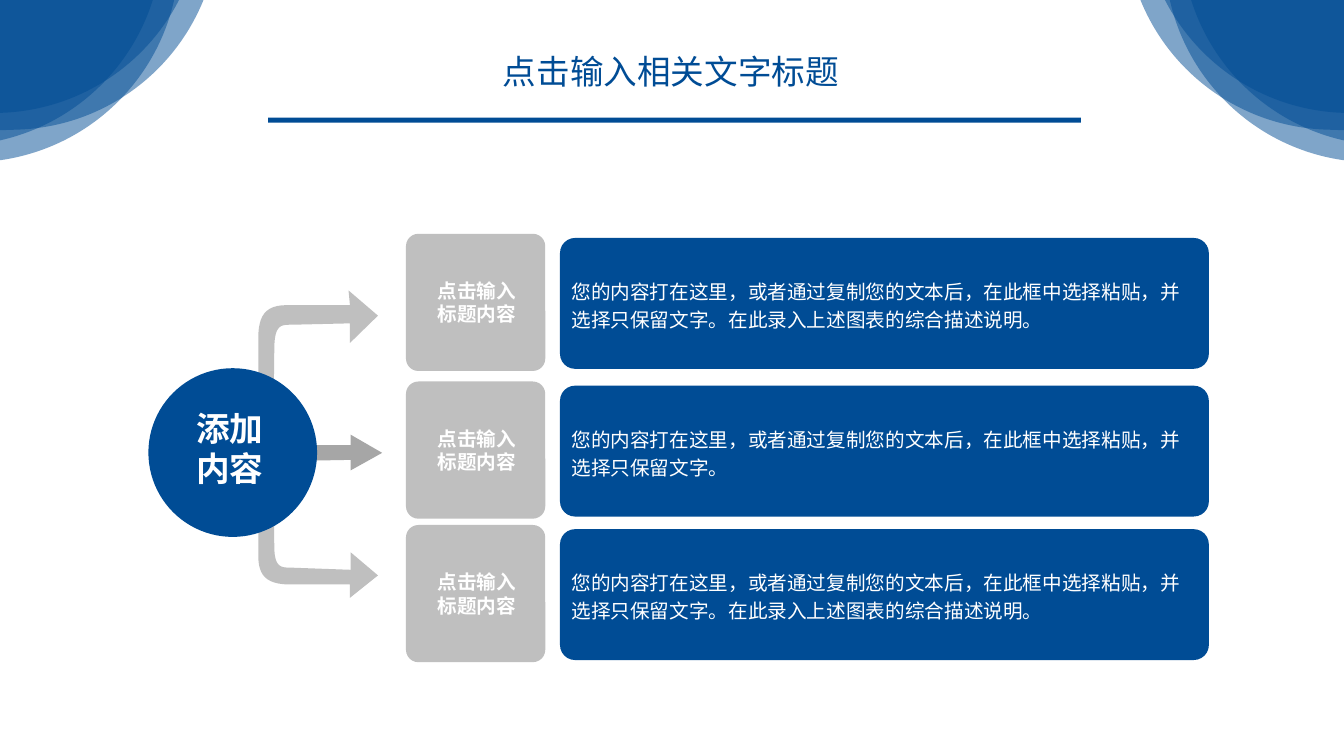
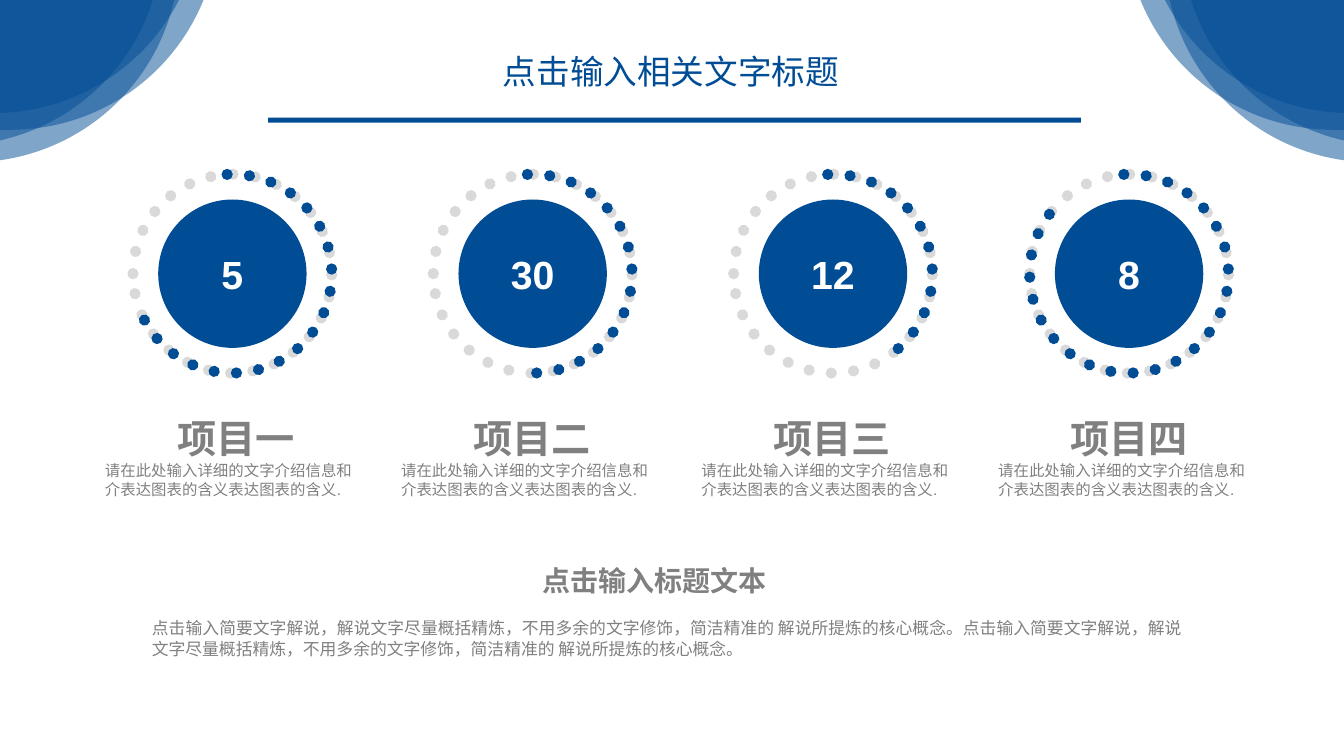
from lxml.etree import SubElement
from pptx import Presentation
from pptx.dml.color import RGBColor
from pptx.enum.dml import MSO_LINE
from pptx.enum.lang import MSO_LANGUAGE_ID
from pptx.enum.shapes import MSO_SHAPE, MSO_SHAPE_TYPE
from pptx.enum.text import MSO_ANCHOR, MSO_AUTO_SIZE, PP_ALIGN
from pptx.oxml.ns import qn
from pptx.util import Pt

BLUE, SILVER, STEEL = "004C95", "BFBFBF", "A6A6A6"
PALE, GRAY, WHITE = "D9D9D9", "808080", "FFFFFF"
LEFT, CENTER, JUSTIFY = PP_ALIGN.LEFT, PP_ALIGN.CENTER, PP_ALIGN.JUSTIFY
TOP, MIDDLE = MSO_ANCHOR.TOP, MSO_ANCHOR.MIDDLE
WIDTH, HEIGHT = 960, 540


def paint(fill, color):
    fill.solid()
    fill.fore_color.rgb = RGBColor.from_string(color)


def write(tf, lines, color, inset=(0, 0, 0, 0), anchor=TOP, spacing=1.0):
    tf.word_wrap = True
    tf.auto_size = MSO_AUTO_SIZE.NONE
    tf.vertical_anchor = anchor
    for side, margin in zip(("left", "top", "right", "bottom"), inset):
        setattr(tf, f"margin_{side}", Pt(margin))
    for i, (text, size, bold, align) in enumerate(lines):
        p = tf.paragraphs[0] if i == 0 else tf.add_paragraph()
        p.alignment = align
        p.line_spacing = spacing
        r = p.add_run()
        r.text = text
        formats = {"name": "Arial", "size": Pt(size), "bold": bold,
                   "language_id": MSO_LANGUAGE_ID.SIMPLIFIED_CHINESE}
        for key, value in formats.items():
            setattr(r.font, key, value)
        paint(r.font.fill, color)


prs = Presentation()
prs.slide_width, prs.slide_height = Pt(WIDTH), Pt(HEIGHT)

corner = 495
for _ in range(2):
    s = prs.slides.add_slide(prs.slide_layouts[5])
    for mirrored in (False, True):
        for x, y in ((807, -399), (819, -411)):
            for angle in (-13.1, 1.9):
                left = WIDTH - x - corner if mirrored else x
                sp = s.shapes.add_shape(MSO_SHAPE.ROUNDED_RECTANGLE, Pt(left), Pt(y), Pt(corner), Pt(corner))
                sp.adjustments[0] = 0.3
                sp.rotation = -angle if mirrored else angle
                paint(sp.fill, BLUE)
                rgb = sp._element.spPr.find(".//" + qn("a:srgbClr"))
                SubElement(rgb, qn("a:alpha")).set("val", "50000")
    sp = s.shapes.add_shape(MSO_SHAPE.RECTANGLE, Pt(191.5), Pt(84), Pt(580.5), Pt(3.6))
    paint(sp.fill, BLUE)
    title = s.shapes.title
    box = {"left": 352, "top": 32.4, "width": 258, "height": 36}
    for key, value in box.items():
        setattr(title, key, Pt(value))
    write(title.text_frame, [("点击输入相关文字标题", 24, False, LEFT)], BLUE, (7.2, 3.6, 7.2, 3.6))
    title.text_frame.word_wrap = False

flow, stats = prs.slides

arrows = [
    (SILVER, [(195, 322), (196, 392.5), (196.5, 405.5, 201, 405.5, 209, 405.5), (250.5, 407),
              (250.5, 394.5), (270, 411), (250, 427), (250, 417.5), (206, 417.5),
              (190, 417, 184.5, 411, 184.5, 396.5), (184.5, 320.5),
              (186.5, 307.5, 193, 309, 195, 322)]),
    (STEEL, [(170.5, 330), (250.5, 328.5), (250.5, 336), (273, 323.5), (250.5, 310.5),
             (250.5, 318), (170.5, 318)]),
    (SILVER, [(195, 329), (196, 247), (196.5, 232, 201, 232, 208, 232), (250, 231),
              (250, 245), (270, 225.5), (249, 207.5), (250, 218), (205, 218),
              (189.5, 218, 184.5, 225.5, 184.5, 242), (184.5, 330.5),
              (186, 345.5, 192, 344, 195, 329)]),
]
steps = 12
for color, segments in arrows:
    points = [segments[0]]
    for seg in segments[1:]:
        if len(seg) == 2:
            points.append(seg)
            continue
        x0, y0 = points[-1]
        x1, y1, x2, y2, x3, y3 = seg
        for i in range(1, steps + 1):
            t = i / steps
            u = 1 - t
            a, b, c, d = u ** 3, 3 * u * u * t, 3 * u * t * t, t ** 3
            points.append((a * x0 + b * x1 + c * x2 + d * x3,
                           a * y0 + b * y1 + c * y2 + d * y3))
    points = [(Pt(x), Pt(y)) for x, y in points]
    outline = flow.shapes.build_freeform(*points[0])
    outline.add_line_segments(points[1:], close=True)
    paint(outline.convert_to_shape().fill, color)

sp = flow.shapes.add_shape(MSO_SHAPE.OVAL, Pt(106), Pt(263), Pt(120.5), Pt(120.5))
paint(sp.fill, BLUE)
write(sp.text_frame, [("添加", 24, True, CENTER), ("内容", 24, True, CENTER)], WHITE, (0, 0, 4, 6), MIDDLE)

short = "您的内容打在这里，或者通过复制您的文本后，在此框中选择粘贴，并选择只保留文字。"
full = short + "在此录入上述图表的综合描述说明。"
for y, text in ((170, full), (275.5, short), (378, full)):
    cards = [
        (400, y, 463.5, 93.5, 0.115, BLUE, (text, 14, False, LEFT), (5, 2, 5, 2), 1.2),
        (290, y - 3, 99.5, 98, 0.09, SILVER, ("点击输入标题内容", 14, True, CENTER), (17, 0, 15, 0), 1.0),
    ]
    for x, top, w, h, radius, color, line, inset, spacing in cards:
        sp = flow.shapes.add_shape(MSO_SHAPE.ROUNDED_RECTANGLE, Pt(x), Pt(top), Pt(w), Pt(h))
        sp.adjustments[0] = radius
        paint(sp.fill, color)
        write(sp.text_frame, [line], WHITE, inset, MIDDLE, spacing)

ring, disc, ring_top = 142, 106, 124.5
gap = (ring - disc) / 2
detail = "请在此处输入详细的文字介绍信息和介表达图表的含义表达图表的含义."
items = [
    (95, 70, "5", "项目一", 98.33),
    (309.5, 281.5, "30", "项目二", 57.89),
    (524, 496, "12", "项目三", 31.33),
    (735.5, 708, "8", "项目四", 132.86),
]
for x, text_x, number, name, end in items:
    for kind, color in ((MSO_SHAPE.OVAL, PALE), (MSO_SHAPE.ARC, BLUE)):
        sp = stats.shapes.add_shape(kind, Pt(x), Pt(ring_top), Pt(ring), Pt(ring))
        sp.fill.background()
        paint(sp.line.fill, color)
        sp.line.width = Pt(8)
        sp.line.dash_style = MSO_LINE.ROUND_DOT
        sp._element.spPr.find(qn("a:ln")).set("cap", "rnd")
    sp.adjustments[0] = 160.18
    sp.adjustments[1] = end
    sp = stats.shapes.add_shape(MSO_SHAPE.OVAL, Pt(x + gap), Pt(ring_top + gap), Pt(disc), Pt(disc))
    paint(sp.fill, BLUE)
    write(sp.text_frame, [(number, 28, True, CENTER)], WHITE, (5, 3, 5, 3), MIDDLE)
    sp = stats.shapes.add_textbox(Pt(text_x), Pt(293), Pt(198), Pt(66))
    write(sp.text_frame, [(name, 28, True, CENTER), (detail, 11, False, LEFT)], GRAY, (5, 3, 6, 3))

sentence = "点击输入简要文字解说，解说文字尽量概括精炼，不用多余的文字修饰，简洁精准的 解说所提炼的核心概念。"
notes = [
    (387.5, 402.5, 186, 24.5, ("点击输入标题文本", 20, True, LEFT)),
    (108.5, 441.5, 736.5, 29, (sentence * 2, 12, False, JUSTIFY)),
]
for x, y, w, h, line in notes:
    sp = stats.shapes.add_textbox(Pt(x), Pt(y), Pt(w), Pt(h))
    write(sp.text_frame, [line], GRAY)

for s in prs.slides:
    for sp in s.shapes:
        if sp.shape_type in (MSO_SHAPE_TYPE.AUTO_SHAPE, MSO_SHAPE_TYPE.FREEFORM):
            sp.shadow.inherit = False
            if sp.line.dash_style is None:
                sp.line.fill.background()

prs.save("out.pptx")
